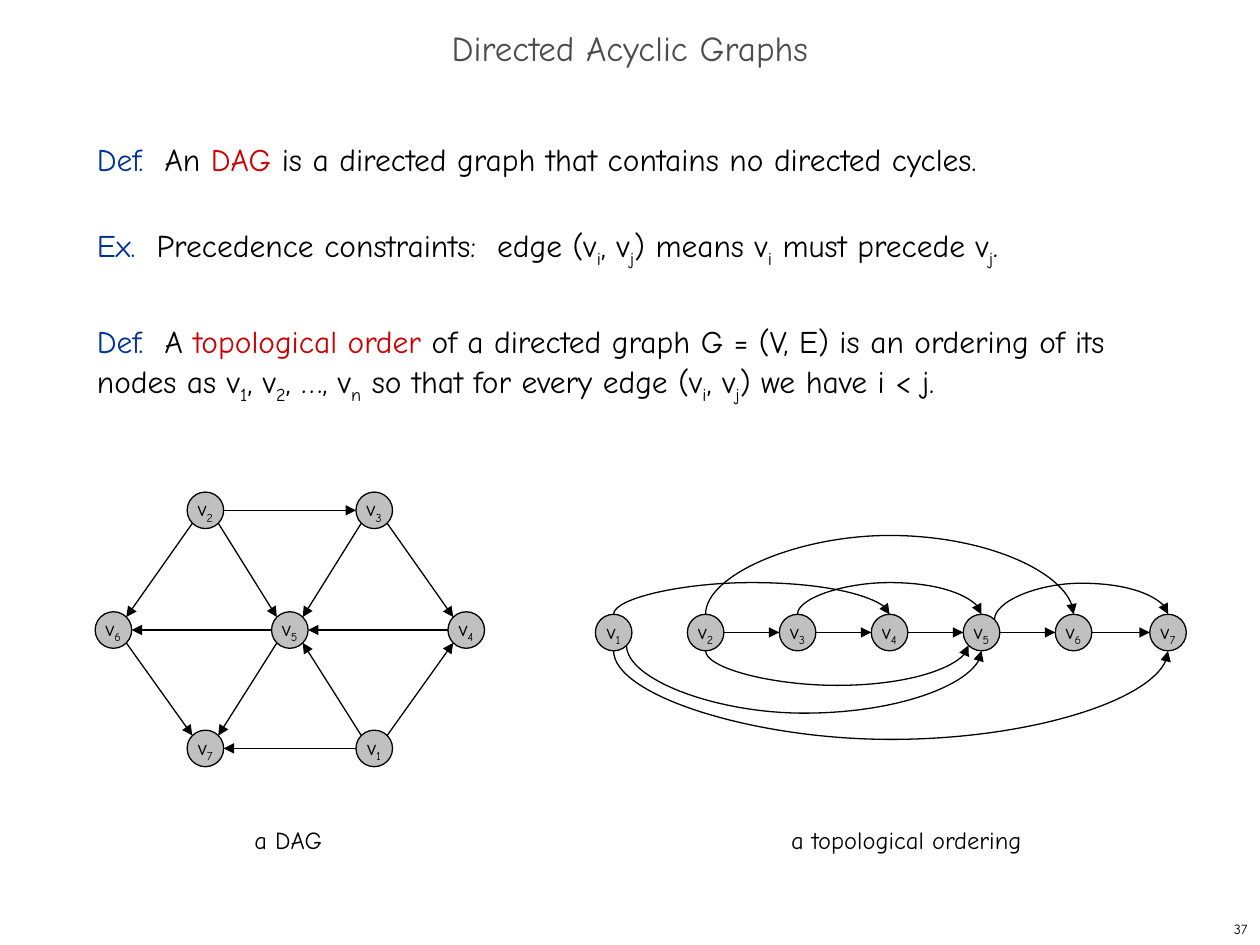
from math import hypot
from lxml.etree import SubElement
from pptx import Presentation
from pptx.dml.color import RGBColor
from pptx.enum.shapes import MSO_CONNECTOR, MSO_SHAPE
from pptx.enum.text import MSO_ANCHOR, PP_ALIGN
from pptx.oxml.ns import qn
from pptx.util import Inches, Pt

BLACK, BLUE, RED, GRAY = "000000", "003399", "CC0000", "4D4D4D"
RADIUS = 0.145

prs = Presentation()
prs.slide_width, prs.slide_height = Inches(10), Inches(7.5)
s = prs.slides.add_slide(prs.slide_layouts[6])


def write(p, size, *parts):
    """Add (text, colour) parts; a character after "_" is a subscript."""
    p.font.name, p.font.size = "Comic Neue", Pt(size)
    for text, color in parts:
        first, *rest = text.split("_")
        pieces = [(first, False)]
        for piece in rest:
            pieces += [(piece[0], True), (piece[1:], False)]
        for piece, is_sub in pieces:
            if piece:
                r = p.add_run()
                r.text = piece
                r.font.name, r.font.size = "Comic Neue", Pt(size)
                r.font.color.rgb = RGBColor.from_string(color)
                if is_sub:
                    r.font._element.set("baseline", "-25000")


def add_arrow(kind, x1, y1, x2, y2):
    line = s.shapes.add_connector(kind, Inches(x1), Inches(y1), Inches(x2), Inches(y2))
    line.line.width = Pt(0.75)
    line.line.color.rgb = RGBColor.from_string(BLACK)
    SubElement(line.line._get_or_add_ln(), qn("a:tailEnd"), type="triangle")
    SubElement(line._element.spPr, qn("a:effectLst"))
    return line


# Title, captions and slide number
for text, box, size, color, align, anchor, wrap in [
    ("Directed Acyclic Graphs", (0, 0.17, 10, 0.5), 20, GRAY, PP_ALIGN.CENTER, MSO_ANCHOR.MIDDLE, True),
    ("a DAG", (1.92, 6.5, 0.77, 0.33), 14, BLACK, PP_ALIGN.LEFT, MSO_ANCHOR.TOP, False),
    ("a topological ordering", (6.18, 6.5, 2.15, 0.33), 14, BLACK, PP_ALIGN.LEFT, MSO_ANCHOR.TOP, False),
    ("37", (7.92, 7.25, 2.08, 0.25), 8, BLACK, PP_ALIGN.RIGHT, MSO_ANCHOR.MIDDLE, False),
]:
    tf = s.shapes.add_textbox(*map(Inches, box)).text_frame
    tf.word_wrap, tf.vertical_anchor = wrap, anchor
    tf.paragraphs[0].alignment = align
    write(tf.paragraphs[0], size, (text, color))
    if size == 20:
        tf.paragraphs[0].line_spacing = 0.7

# Definitions
tf = s.shapes.add_textbox(Inches(0.67), Inches(1), Inches(8.58), Inches(5.92)).text_frame
tf.word_wrap = True
for i, parts in enumerate([
    [("Def.  ", BLUE), ("An ", BLACK), ("DAG", RED),
     (" is a directed graph that contains no directed cycles.", BLACK)],
    [("Ex.  ", BLUE),
     ("Precedence constraints:  edge (v_i, v_j) means v_i must precede v_j.", BLACK)],
    [("Def.  ", BLUE), ("A ", BLACK), ("topological order ", RED),
     ("of a directed graph G = (V, E) is an ordering of its nodes as "
      "v_1, v_2, …, v_n so that for every edge (v_i, v_j) we have i < j.", BLACK)],
]):
    p = tf.add_paragraph() if i else tf.paragraphs[0]
    p.line_spacing = Pt(26)
    p.space_before = Pt(26 if i else 0)
    write(p, 18, *parts)

# Nodes of both graphs, by centre
dag = {2: (1.63, 4.05), 3: (2.97, 4.05), 6: (0.9, 5), 5: (2.3, 5),
       4: (3.7, 5), 7: (1.63, 5.94), 1: (2.97, 5.94)}
order = {n: (4.87 + 0.73 * (n - 1), 5.02) for n in range(1, 7)}
order[7] = (9.27, 5.02)
for n, (x, y) in [*dag.items(), *order.items()]:
    sp = s.shapes.add_shape(MSO_SHAPE.OVAL, Inches(x - RADIUS), Inches(y - RADIUS),
                            Inches(2 * RADIUS), Inches(2 * RADIUS))
    sp.shadow.inherit = False
    sp.fill.solid()
    sp.fill.fore_color.rgb = RGBColor.from_string("C0C0C0")
    sp.line.color.rgb = RGBColor.from_string(BLACK)
    sp.line.width = Pt(0.75)
    tf = sp.text_frame
    tf.word_wrap, tf.vertical_anchor = False, MSO_ANCHOR.MIDDLE
    tf.paragraphs[0].alignment = PP_ALIGN.CENTER
    write(tf.paragraphs[0], 12, (f"v_{n}", BLACK))

# Straight edges leave and enter nodes at their sides or diagonals
dag_edges = [(2, 6), (2, 5), (2, 3), (3, 4), (4, 5), (1, 4),
             (5, 7), (1, 5), (1, 7), (6, 7), (5, 6), (3, 5)]
order_edges = [(n, n + 1) for n in range(2, 7)]
for nodes, edges in [(dag, dag_edges), (order, order_edges)]:
    for a, b in edges:
        (x1, y1), (x2, y2) = nodes[a], nodes[b]
        dx, dy = (x2 > x1) - (x2 < x1), (y2 > y1) - (y2 < y1)
        k = RADIUS / hypot(dx, dy)
        add_arrow(MSO_CONNECTOR.STRAIGHT, x1 + k * dx, y1 + k * dy, x2 - k * dx, y2 - k * dy)

# Curved edges: start node and side, end node and side, height of the bend
for a, (ax, ay), b, (bx, by), bend in [
    (3, (0, -1), 5, (0, -1), 4.62),
    (2, (0, 1), 5, (-1, 1), 5.44),
    (1, (1, 1), 5, (0, 1), 5.66),
    (1, (0, -1), 4, (0, -1), 4.62),
    (5, (1, -1), 7, (0, -1), 4.63),
    (2, (0, -1), 6, (0, -1), 4.24),
    (1, (0, 1), 7, (0, 1), 5.88),
]:
    ka, kb = RADIUS / hypot(ax, ay), RADIUS / hypot(bx, by)
    x1, y1 = order[a][0] + ka * ax, order[a][1] + ka * ay
    x2, y2 = order[b][0] + kb * bx, order[b][1] + kb * by
    rise = y2 - y1 if ay != by or ax != bx else 0.002
    cx, cy = (x1 + x2) / 2, (y1 + y2) / 2
    thick, span = abs(rise), x2 - x1
    # The box is upright and turned a quarter, so the bend lies above or below
    line = add_arrow(MSO_CONNECTOR.CURVE, cx - thick / 2, cy - span / 2,
                     cx + thick / 2, cy + span / 2)
    line.rotation = 90
    xfrm = line._element.spPr.find(qn("a:xfrm"))
    xfrm.set("flipV", "1")
    if rise < 0:
        xfrm.set("flipH", "1")
    guides = line._element.spPr.find(qn("a:prstGeom")).find(qn("a:avLst"))
    SubElement(guides, qn("a:gd"), name="adj1", fmla=f"val {round((bend - y1) / rise * 100000)}")

prs.save("out.pptx")
